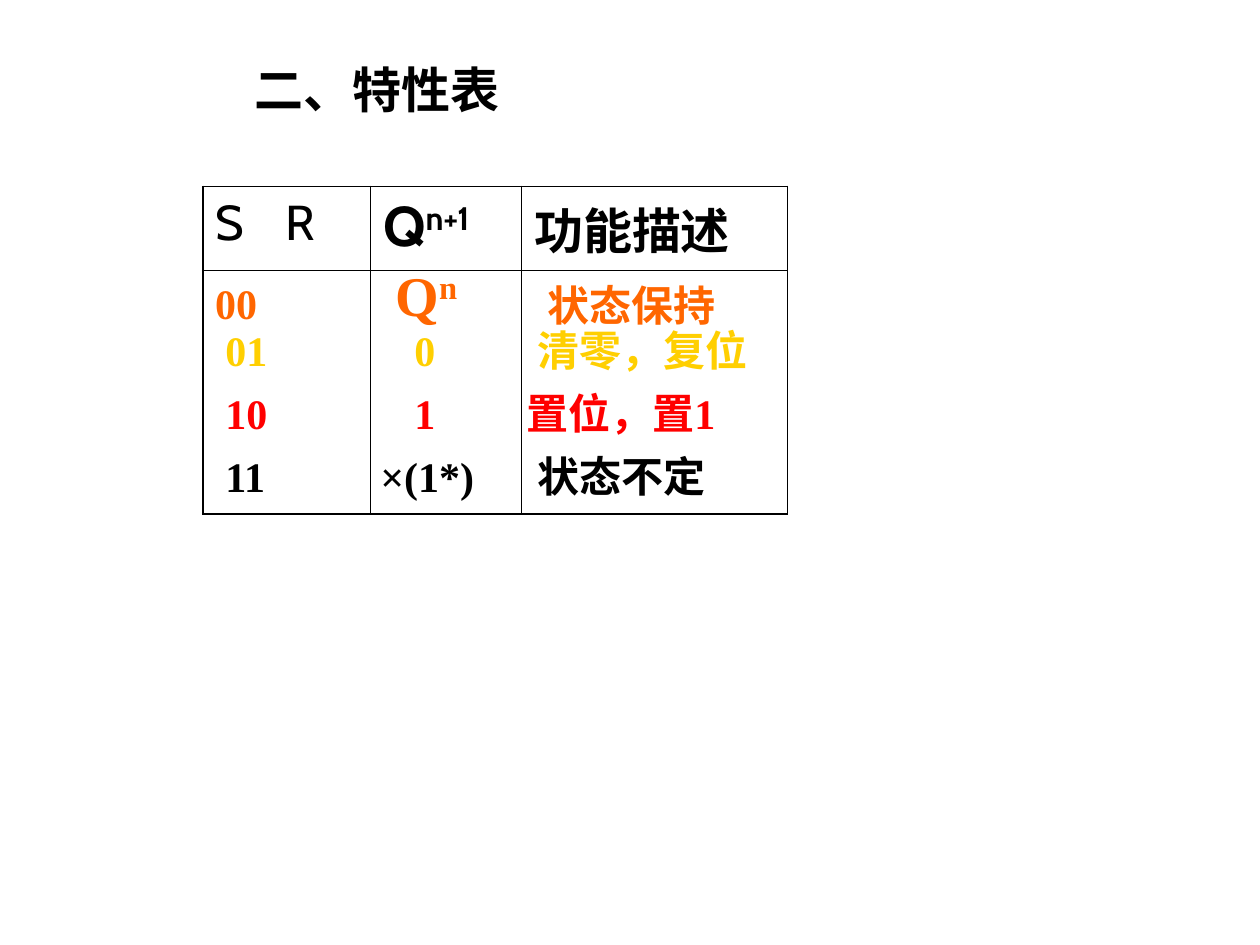
from pptx import Presentation
from pptx.dml.color import RGBColor
from pptx.enum.text import MSO_ANCHOR, PP_ALIGN
from pptx.oxml import parse_xml
from pptx.oxml.ns import nsdecls
from pptx.util import Inches, Pt

TOP, LEFT = MSO_ANCHOR.TOP, PP_ALIGN.LEFT
SERIF, SANS = "Times New Roman", "Cabin"
BLACK, ORANGE, YELLOW, RED = "000000", "FF6600", "FFCF01", "FF0000"

TITLE = "二、特性表"
# Header cells: base text, superscript, size, bold
HEADERS = [("S\tR", "", 28, False), ("Q", "n+1", 32, True), ("功能描述", "", 28, True)]

# State rows: colour, then (base text, superscript, size, inset from column, lift) per column
STATES = [
    (ORANGE, [("00", "", 24, 0, 0.38), ("Q", "n", 32, 0.1, 0.51), ("状态保持", "", 24, 0.11, 0.36)]),
    (YELLOW, [("01", "", 24, 0.08, 0), ("0", "", 24, 0.25, 0), ("清零，复位", "", 24, 0.03, 0)]),
    (RED, [("10", "", 24, 0.08, 0), ("1", "", 24, 0.25, 0), ("置位，置1", "", 24, -0.06, 0)]),
    (BLACK, [("11", "", 24, 0.08, 0), ("×(1*)", "", 24, -0.02, 0), ("状态不定", "", 24, 0.03, 0)]),
]
COLUMN_BOX_WIDTHS = [1.08, 1.17, 2]

# Table grid in inches
TABLE_LEFT, TABLE_TOP = 1.61, 1.48
COLUMN_WIDTHS = [1.33, 1.2, 2.11]
ROW_HEIGHTS = [0.64, 1.94]
COLUMN_LEFTS = [TABLE_LEFT + sum(COLUMN_WIDTHS[:i]) for i in range(3)]
FIRST_STATE_TOP, STATE_PITCH = 2.53, 0.5
OUTER_LINE, INNER_LINE = 1.08, 0.45


def write(text_frame, base, superscript, size, color, font_name, bold=True):
    paragraph = text_frame.paragraphs[0]
    paragraph.text = base
    paragraph.alignment = LEFT
    if superscript:
        run = paragraph.add_run()
        run.text = superscript
        run._r.get_or_add_rPr().set("baseline", "30000")
    for run in paragraph.runs:
        run.font.name = font_name
        run.font.size = Pt(size)
        run.font.bold = bold
        run.font.color.rgb = RGBColor.from_string(color)
    return paragraph


def set_borders(cell, row, column):
    outer = {"L": column == 0, "R": column == len(COLUMN_WIDTHS) - 1,
             "T": row == 0, "B": row == len(ROW_HEIGHTS) - 1}
    properties = cell._tc.get_or_add_tcPr()
    for side, is_outer in outer.items():
        width = Pt(OUTER_LINE if is_outer else INNER_LINE)
        properties.append(parse_xml(
            f'<a:ln{side} {nsdecls("a")} w="{width}"><a:solidFill>'
            f'<a:srgbClr val="{BLACK}"/></a:solidFill></a:ln{side}>'))


presentation = Presentation()
presentation.slide_width, presentation.slide_height = Inches(10), Inches(7.5)
slide = presentation.slides.add_slide(presentation.slide_layouts[5])

# Title
title = slide.shapes.title
title.left, title.top = Inches(1.92), Inches(0.42)
title.width, title.height = Inches(4.33), Inches(0.57)
title.text_frame.vertical_anchor = TOP
write(title.text_frame, TITLE, "", 28, BLACK, SERIF)

# Table with header row and one tall body row
frame = slide.shapes.add_table(
    len(ROW_HEIGHTS), len(COLUMN_WIDTHS), Inches(TABLE_LEFT), Inches(TABLE_TOP),
    Inches(sum(COLUMN_WIDTHS)), Inches(sum(ROW_HEIGHTS)))
table = frame.table
table.first_row = table.horz_banding = False
for column, width in enumerate(COLUMN_WIDTHS):
    table.columns[column].width = Inches(width)
for row, height in enumerate(ROW_HEIGHTS):
    table.rows[row].height = Inches(height)
    for column in range(len(COLUMN_WIDTHS)):
        cell = table.cell(row, column)
        set_borders(cell, row, column)
        cell.fill.background()
for column, (base, superscript, size, bold) in enumerate(HEADERS):
    paragraph = write(table.cell(0, column).text_frame, base, superscript, size, BLACK, SANS, bold)
    if "\t" in base:
        paragraph._p.get_or_add_pPr().append(parse_xml(
            f'<a:tabLst {nsdecls("a")}><a:tab pos="{Inches(0.56)}" algn="l"/></a:tabLst>'))

# State texts over the body row
for row, (color, entries) in enumerate(STATES):
    for column, (base, superscript, size, inset, lift) in enumerate(entries):
        top = FIRST_STATE_TOP + (row - 1) * STATE_PITCH + (lift - 0.26 if lift else 0)
        if row == 0:
            top = FIRST_STATE_TOP - lift
        box = slide.shapes.add_textbox(
            Inches(COLUMN_LEFTS[column] + inset), Inches(top),
            Inches(COLUMN_BOX_WIDTHS[column]), Inches(size / 50))
        box.text_frame.word_wrap = True
        write(box.text_frame, base, superscript, size, color, SERIF)

presentation.save("out.pptx")
